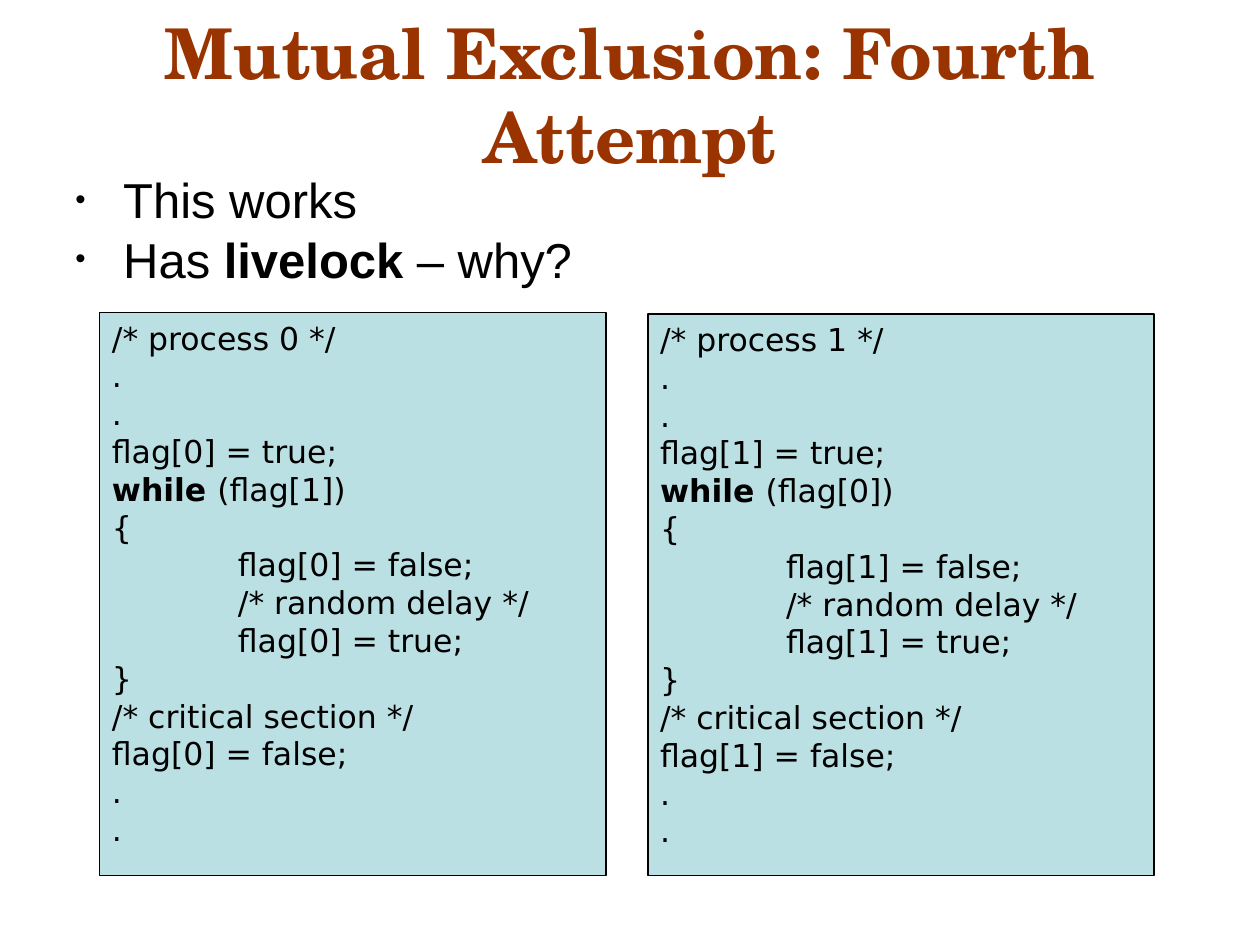
from lxml import etree
from pptx import Presentation
from pptx.dml.color import RGBColor
from pptx.enum.shapes import MSO_SHAPE as Shape
from pptx.enum.text import MSO_ANCHOR as Anchor, PP_ALIGN as Align
from pptx.oxml.ns import qn
from pptx.util import Inches, Pt

BLACK = RGBColor(0x00, 0x00, 0x00)
RUST = RGBColor(0x99, 0x33, 0x00)
PALE_TEAL = RGBColor(0xBB, 0xE0, 0xE3)


def add_run(p, text, font, size, color=BLACK, bold=False):
    r = p.add_run()
    r.text = text
    r.font.name = font
    r.font.size = Pt(size)
    r.font.color.rgb = color
    r.font.bold = bold


def paragraphs(tf, lines):
    """Yield a paragraph of the frame for each line, with the line."""
    for i, line in enumerate(lines):
        yield (tf.add_paragraph() if i else tf.paragraphs[0]), line


def add_text_frame(s, left, top, width, height):
    tf = s.shapes.add_textbox(Inches(left), Inches(top),
                              Inches(width), Inches(height)).text_frame
    tf.word_wrap = True
    return tf


def add_title(s, text):
    tf = add_text_frame(s, 0.5, 0.18, 9, 1.12)
    tf.vertical_anchor = Anchor.MIDDLE
    p = tf.paragraphs[0]
    p.alignment = Align.CENTER
    add_run(p, text, "TeX Gyre Schola", 40, RUST, True)


def set_bullet(p):
    pPr = p._p.get_or_add_pPr()
    pPr.set("marL", str(Inches(0.38)))
    pPr.set("indent", str(-Inches(0.38)))
    color = etree.SubElement(pPr, qn("a:buClr"))
    etree.SubElement(color, qn("a:srgbClr"), val=str(BLACK))
    etree.SubElement(pPr, qn("a:buSzPct"), val="60000")
    etree.SubElement(pPr, qn("a:buFont"), typeface="Arial")
    etree.SubElement(pPr, qn("a:buChar"), char="•")


def add_bullets(s, bullets):
    tf = add_text_frame(s, 0.5, 1.39, 9, 1)
    for i, (p, runs) in enumerate(paragraphs(tf, bullets)):
        set_bullet(p)
        p.line_spacing = 0.8
        if i:
            p.space_before = Pt(7)
        for text, bold in runs:
            add_run(p, text, "Arial", 28, bold=bold)


def process_code(own, other):
    """Lines of one process, each a list of (text, bold) runs."""
    plain = [
        f"/* process {own} */", ".", ".",
        f"flag[{own}] = true;",
        f"while (flag[{other}])",
        "{",
        f"\tflag[{own}] = false;",
        "\t/* random delay */",
        f"\tflag[{own}] = true;",
        "}",
        "/* critical section */",
        f"flag[{own}] = false;", ".", ".",
    ]
    keyword = "while "
    return [[(keyword, True), (line[len(keyword):], False)]
            if line.startswith(keyword) else [(line, False)]
            for line in plain]


def set_tab_stop(p):
    tabs = etree.SubElement(p._p.get_or_add_pPr(), qn("a:tabLst"))
    etree.SubElement(tabs, qn("a:tab"), pos=str(Inches(1)), algn="l")


def add_code_box(s, left, top, height, code):
    sp = s.shapes.add_shape(Shape.RECTANGLE, Inches(left), Inches(top),
                            Inches(4.02), Inches(height))
    sp.shadow.inherit = False
    sp.fill.solid()
    sp.fill.fore_color.rgb = PALE_TEAL
    sp.line.color.rgb = BLACK
    sp.line.width = Pt(1)
    tf = sp.text_frame
    tf.word_wrap = False
    tf.vertical_anchor = Anchor.TOP
    for p, runs in paragraphs(tf, code):
        set_tab_stop(p)
        p.alignment = Align.LEFT
        for text, bold in runs:
            add_run(p, text, "DejaVu Sans", 18, bold=bold)


def main():
    prs = Presentation()
    prs.slide_width, prs.slide_height = Inches(10), Inches(7.5)
    s = prs.slides.add_slide(prs.slide_layouts[6])
    add_title(s, "Mutual Exclusion: Fourth Attempt")
    add_bullets(s, [
        [("This works", False)],
        [("Has ", False), ("livelock", True), (" – why?", False)],
    ])
    add_code_box(s, 0.79, 2.48, 4.47, process_code(0, 1))
    add_code_box(s, 5.14, 2.49, 4.46, process_code(1, 0))
    prs.save("out.pptx")


if __name__ == "__main__":
    main()
